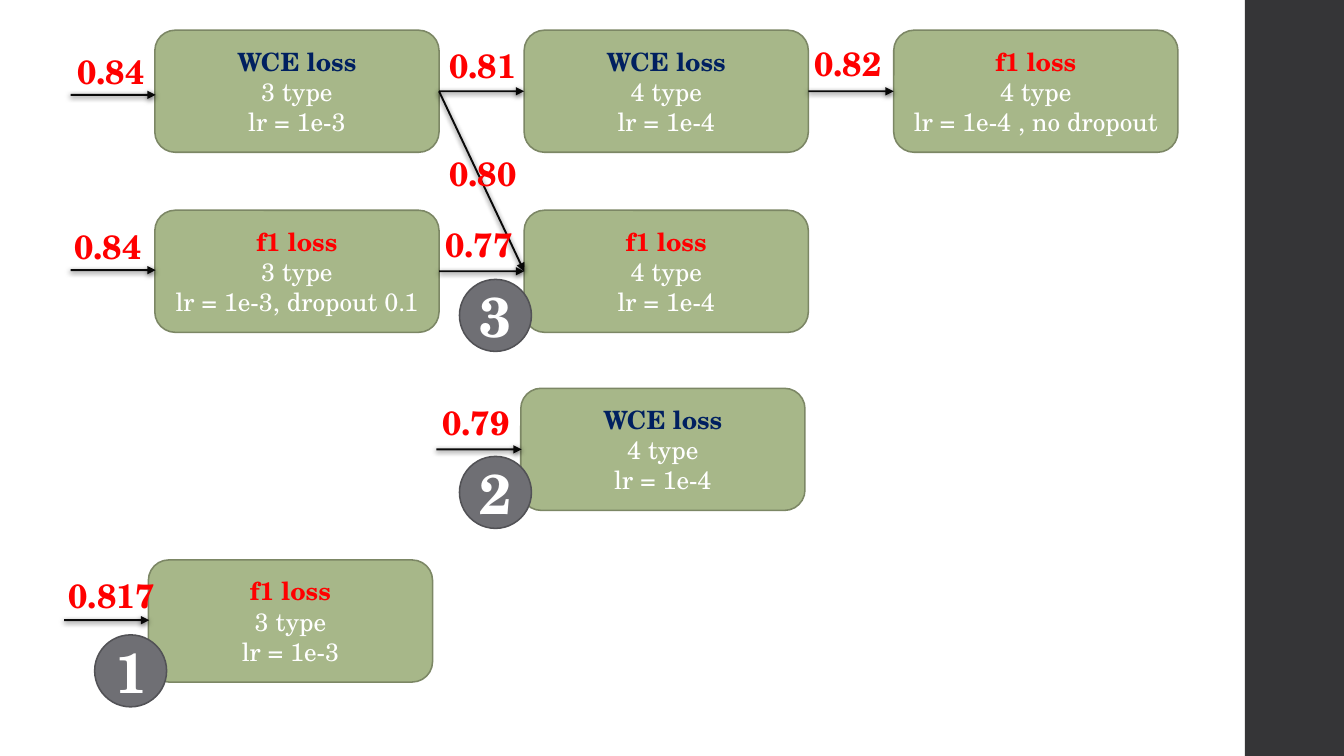
from lxml import etree
from pptx import Presentation
from pptx.dml.color import RGBColor
from pptx.enum.shapes import MSO_CONNECTOR, MSO_SHAPE
from pptx.enum.text import MSO_ANCHOR, MSO_AUTO_SIZE, PP_ALIGN
from pptx.oxml import parse_xml
from pptx.oxml.ns import qn
from pptx.util import Pt

STRAIGHT = MSO_CONNECTOR.STRAIGHT
RECT, ROUNDED, OVAL = MSO_SHAPE.RECTANGLE, MSO_SHAPE.ROUNDED_RECTANGLE, MSO_SHAPE.OVAL
CENTER, LEFT = PP_ALIGN.CENTER, PP_ALIGN.LEFT
MIDDLE = MSO_ANCHOR.MIDDLE
FIT_SHAPE = MSO_AUTO_SIZE.SHAPE_TO_FIT_TEXT

FONT = "TeX Gyre Schola"
WHITE = RGBColor(0xFF, 0xFF, 0xFF)
BLACK = RGBColor(0, 0, 0)
RED = RGBColor(0xFF, 0, 0)
NAVY = RGBColor(0, 0x20, 0x60)
SAGE = RGBColor(0xA7, 0xB7, 0x89)
SAGE_EDGE = RGBColor(0x7C, 0x87, 0x65)
GREY = RGBColor(0x6F, 0x6F, 0x74)
GREY_EDGE = RGBColor(0x52, 0x52, 0x56)
SIDEBAR = RGBColor(0x35, 0x35, 0x37)

SLIDE_W, SLIDE_H = 960, 540
SIDEBAR_X = 889.2
BOX_W, BOX_H = 203, 87.2
ENTRY_LENGTH = 60.8
BADGE = 51.4
LABEL_H = 36.3
LOSS_COLORS = {"WCE loss": NAVY, "f1 loss": RED}

STAGES = {
    "wce3": (110.6, 21.6, "WCE loss", "3 type", "lr = 1e-3"),
    "wce4": (374.4, 21.6, "WCE loss", "4 type", "lr = 1e-4"),
    "f1 no dropout": (638.4, 21.6, "f1 loss", "4 type", "lr = 1e-4 , no dropout"),
    "f1 dropout": (110.6, 150.2, "f1 loss", "3 type", "lr = 1e-3, dropout 0.1"),
    "f1 4 type": (374.4, 150.2, "f1 loss", "4 type", "lr = 1e-4"),
    "wce alone": (372, 277.4, "WCE loss", "4 type", "lr = 1e-4"),
    "f1 alone": (106, 400, "f1 loss", "3 type", "lr = 1e-3"),
}
LINKS = [
    ("wce3", "wce4"),
    ("f1 dropout", "f1 4 type"),
    ("wce4", "f1 no dropout"),
    ("wce3", "f1 4 type"),
]
ENTRIES = [("wce3", 67.8), ("f1 dropout", 193), ("wce alone", 321), ("f1 alone", 443)]
SCORES = [
    ("0.82", 574.6, 27.4), ("0.81", 313.9, 28.8), ("0.84", 48.2, 33.1),
    ("0.84", 46, 157.7), ("0.80", 313.9, 105.4), ("0.79", 308.9, 283.5),
    ("0.77", 311, 156.5), ("0.817", 41.8, 407.2),
]
BADGES = [("1", 67.6, 453.5), ("2", 328.2, 326), ("3", 328.2, 199.6)]

ARROW_SHADOW = (
    '<a:effectLst xmlns:a="http://schemas.openxmlformats.org/drawingml/2006/main">'
    '<a:outerShdw blurRad="50800" dist="15240" dir="5400000" rotWithShape="0">'
    '<a:srgbClr val="000000"><a:alpha val="75000"/></a:srgbClr>'
    '</a:outerShdw></a:effectLst>'
)


def write(frame, lines, align):
    for i, (text, size, color, bold) in enumerate(lines):
        paragraph = frame.paragraphs[0] if i == 0 else frame.add_paragraph()
        paragraph.text = text
        paragraph.alignment = align
        font = paragraph.font
        font.name, font.size, font.bold = FONT, Pt(size), bold
        font.color.rgb = color


def add_filled(kind, x, y, w, h, fill, edge=None, lines=()):
    shape = slide.shapes.add_shape(kind, Pt(x), Pt(y), Pt(w), Pt(h))
    shape.shadow.inherit = False
    shape.fill.solid()
    shape.fill.fore_color.rgb = fill
    if edge is None:
        shape.line.fill.background()
    else:
        shape.line.color.rgb = edge
        shape.line.width = Pt(1.1)
    shape.text_frame.vertical_anchor = MIDDLE
    write(shape.text_frame, lines, CENTER)


def add_arrow(x1, y1, x2, y2):
    arrow = slide.shapes.add_connector(STRAIGHT, Pt(x1), Pt(y1), Pt(x2), Pt(y2))
    arrow.line.color.rgb = BLACK
    arrow.line.width = Pt(1.35)
    properties = arrow._element.spPr
    line = properties.find(qn("a:ln"))
    color = next(line.iter(qn("a:srgbClr")))
    etree.SubElement(color, qn("a:alpha"), val="95000")
    etree.SubElement(line, qn("a:tailEnd"), type="triangle")
    properties.append(parse_xml(ARROW_SHADOW))


def left_middle(stage):
    x, y = STAGES[stage][:2]
    return x, y + BOX_H / 2


prs = Presentation()
prs.slide_width, prs.slide_height = Pt(SLIDE_W), Pt(SLIDE_H)
slide = prs.slides.add_slide(prs.slide_layouts[6])

add_filled(RECT, SIDEBAR_X, 0, SLIDE_W - SIDEBAR_X, SLIDE_H, SIDEBAR)

for x, y, loss, types, rate in STAGES.values():
    lines = [
        (loss, 18, LOSS_COLORS[loss], True),
        (types, 18, WHITE, False),
        (rate, 18, WHITE, False),
    ]
    add_filled(ROUNDED, x, y, BOX_W, BOX_H, SAGE, SAGE_EDGE, lines)

for source, target in LINKS:
    x, y = left_middle(source)
    add_arrow(x + BOX_W, y, *left_middle(target))

for stage, y in ENTRIES:
    x = STAGES[stage][0]
    add_arrow(x + 0.6 - ENTRY_LENGTH, y, x + 0.6, y)

for score, x, y in SCORES:
    width = 62.6 if len(score) == 4 else 77
    label = slide.shapes.add_textbox(Pt(x), Pt(y), Pt(width), Pt(LABEL_H))
    label.text_frame.word_wrap = False
    label.text_frame.auto_size = FIT_SHAPE
    write(label.text_frame, [(score, 24, RED, True)], LEFT)

for number, x, y in BADGES:
    add_filled(OVAL, x, y, BADGE, BADGE, GREY, GREY_EDGE, [(number, 40, WHITE, True)])

prs.save("out.pptx")
